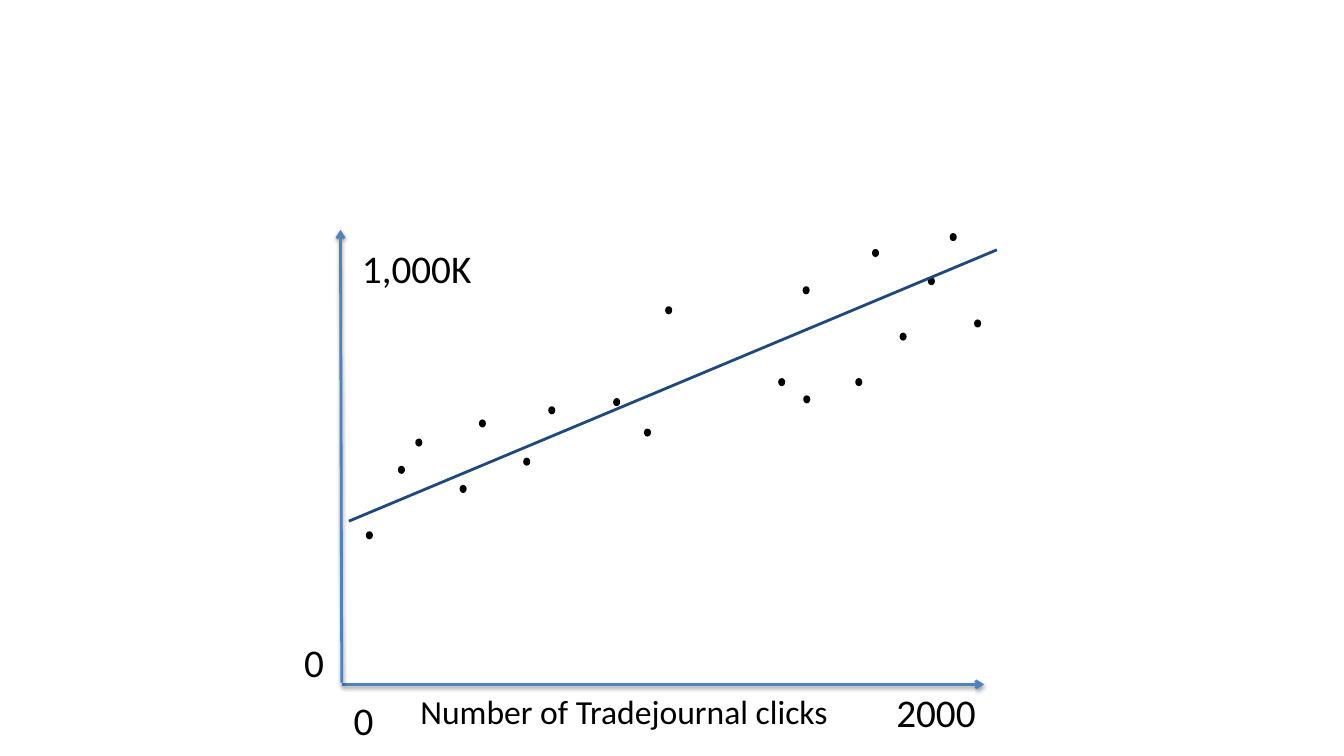
import lxml.etree
import pptx
import pptx.dml.color
import pptx.enum.shapes
import pptx.enum.text
import pptx.oxml.ns
import pptx.util

COLORS = {"axis": "4F81BD", "trend": "1F497D", "ink": "000000"}
FONT = "Calibri"

SLIDE_WIDTH = pptx.util.Inches(13.33)
SLIDE_HEIGHT = pptx.util.Inches(7.5)

# The plot's origin and extent, as shares of the slide
ORIGIN_X = 0.2543 * SLIDE_WIDTH
ORIGIN_Y = 0.9053 * SLIDE_HEIGHT
PLOT_WIDTH = 0.4779 * SLIDE_WIDTH
PLOT_HEIGHT = 0.6013 * SLIDE_HEIGHT

DOT_WIDTH = pptx.util.Inches(0.07)
DOT_HEIGHT = pptx.util.Inches(0.08)

# Everything below is in percent of the plot, measured from its origin
OBSERVATIONS = [
    (4.3, 32.8), (9.3, 47.2), (12.0, 53.2), (18.9, 43.0), (21.9, 57.4),
    (28.8, 49.0), (32.7, 60.3), (42.8, 62.1), (47.6, 55.4), (50.9, 82.3),
    (68.5, 66.5), (72.3, 86.7), (72.4, 62.7), (80.5, 66.5), (83.1, 94.9),
    (87.4, 76.5), (91.8, 88.7), (95.2, 98.4), (99.0, 79.4),
]
TREND = ((1.1, 35.9), (102.0, 95.6))
AXES = [((0, 0), (100, 0)), ((0, 0.4), (-0.2, 100))]

# Text, left, top, width, height, point size, wrapping
LABELS = [
    ("0", 0.3, -1.6, 6.3, 12.6, 28, False),
    ("2000", 84.8, 0.2, 15.7, 12.6, 28, False),
    ("Number of Tradejournal clicks", 10.7, -0.4, 88.2, 11.1, 24, True),
    ("0", -7.4, 11.3, 6.3, 12.6, 28, False),
    ("1,000K", 1.6, 97.8, 20.4, 12.6, 28, False),
]


def color(name):
    return pptx.dml.color.RGBColor.from_string(COLORS[name])


def on_plot(x, y):
    """Turn percentages of the plot into a slide position."""
    return (round(ORIGIN_X + x / 100 * PLOT_WIDTH),
            round(ORIGIN_Y - y / 100 * PLOT_HEIGHT))


def add_line(slide, start, end, color_name):
    """Draw a plain line and return it with its empty effect list."""
    line = slide.shapes.add_connector(
        pptx.enum.shapes.MSO_CONNECTOR.STRAIGHT, *on_plot(*start), *on_plot(*end))
    line.line.color.rgb = color(color_name)
    line.line.width = pptx.util.Pt(2)
    effects = lxml.etree.SubElement(
        line._element.spPr, pptx.oxml.ns.qn("a:effectLst"))
    return line, effects


def add_axis(slide, start, end):
    """Draw a line with an arrowhead and a soft shadow below it."""
    axis, effects = add_line(slide, start, end, "axis")
    qn = pptx.oxml.ns.qn
    lxml.etree.SubElement(axis.line._get_or_add_ln(), qn("a:tailEnd"), type="arrow")
    shadow = lxml.etree.SubElement(
        effects, qn("a:outerShdw"), blurRad=str(pptx.util.Pt(3.1)),
        dist=str(pptx.util.Pt(1.6)), dir="5400000", rotWithShape="0")
    shade = lxml.etree.SubElement(shadow, qn("a:srgbClr"), val=COLORS["ink"])
    lxml.etree.SubElement(shade, qn("a:alpha"), val="38000")


def add_label(slide, text, left, top, width, height, size, wraps):
    label = slide.shapes.add_textbox(
        *on_plot(left, top),
        round(width / 100 * PLOT_WIDTH), round(height / 100 * PLOT_HEIGHT))
    frame = label.text_frame
    frame.text = text
    frame.word_wrap = wraps
    frame.auto_size = pptx.enum.text.MSO_AUTO_SIZE.SHAPE_TO_FIT_TEXT
    font = frame.paragraphs[0].runs[0].font
    font.name = FONT
    font.size = pptx.util.Pt(size)
    font.color.rgb = color("ink")


def add_dot(slide, x, y):
    center_x, center_y = on_plot(x, y)
    dot = slide.shapes.add_shape(
        pptx.enum.shapes.MSO_SHAPE.OVAL,
        center_x - DOT_WIDTH // 2, center_y - DOT_HEIGHT // 2,
        DOT_WIDTH, DOT_HEIGHT)
    dot.shadow.inherit = False
    dot.fill.solid()
    dot.fill.fore_color.rgb = color("ink")
    dot.line.fill.background()


def main():
    presentation = pptx.Presentation()
    presentation.slide_width = SLIDE_WIDTH
    presentation.slide_height = SLIDE_HEIGHT
    slide = presentation.slides.add_slide(presentation.slide_layouts[6])

    for start, end in AXES:
        add_axis(slide, start, end)
    for label in LABELS:
        add_label(slide, *label)
    for x, y in OBSERVATIONS:
        add_dot(slide, x, y)
    add_line(slide, *TREND, "trend")

    presentation.save("out.pptx")


if __name__ == "__main__":
    main()
